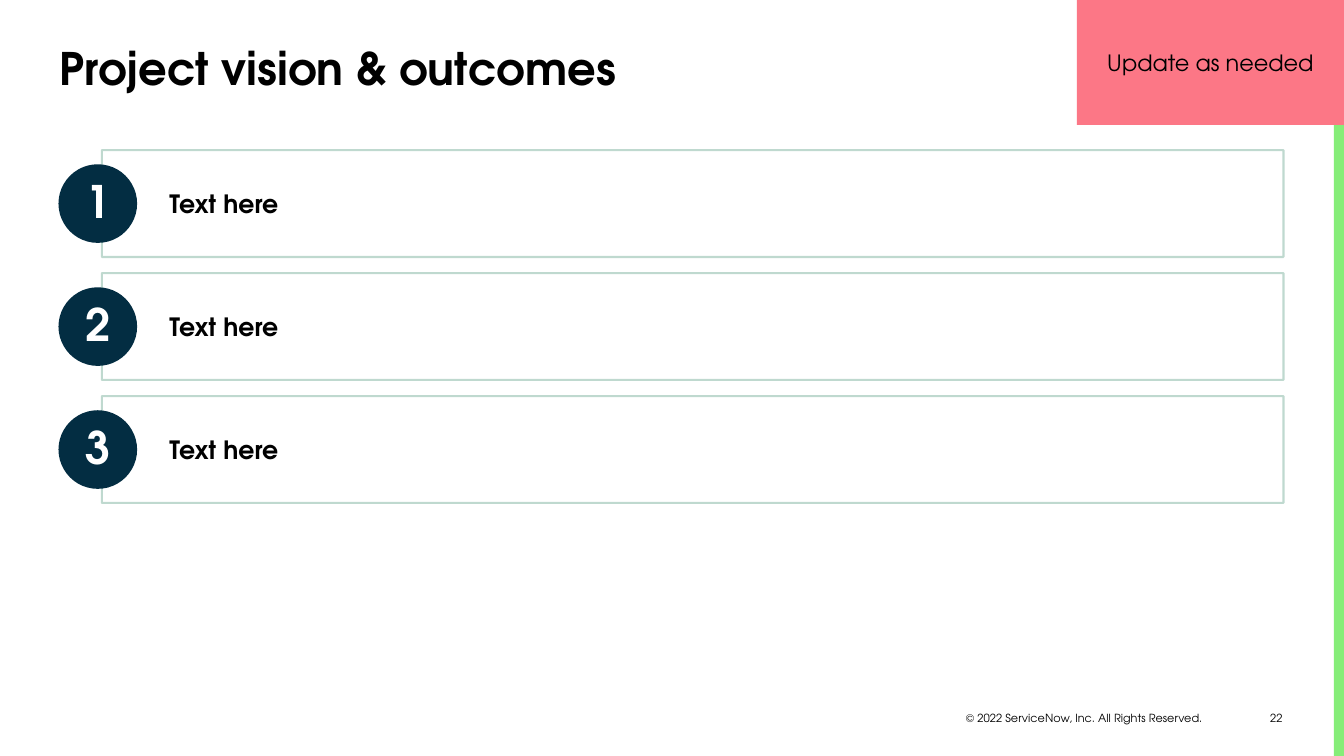
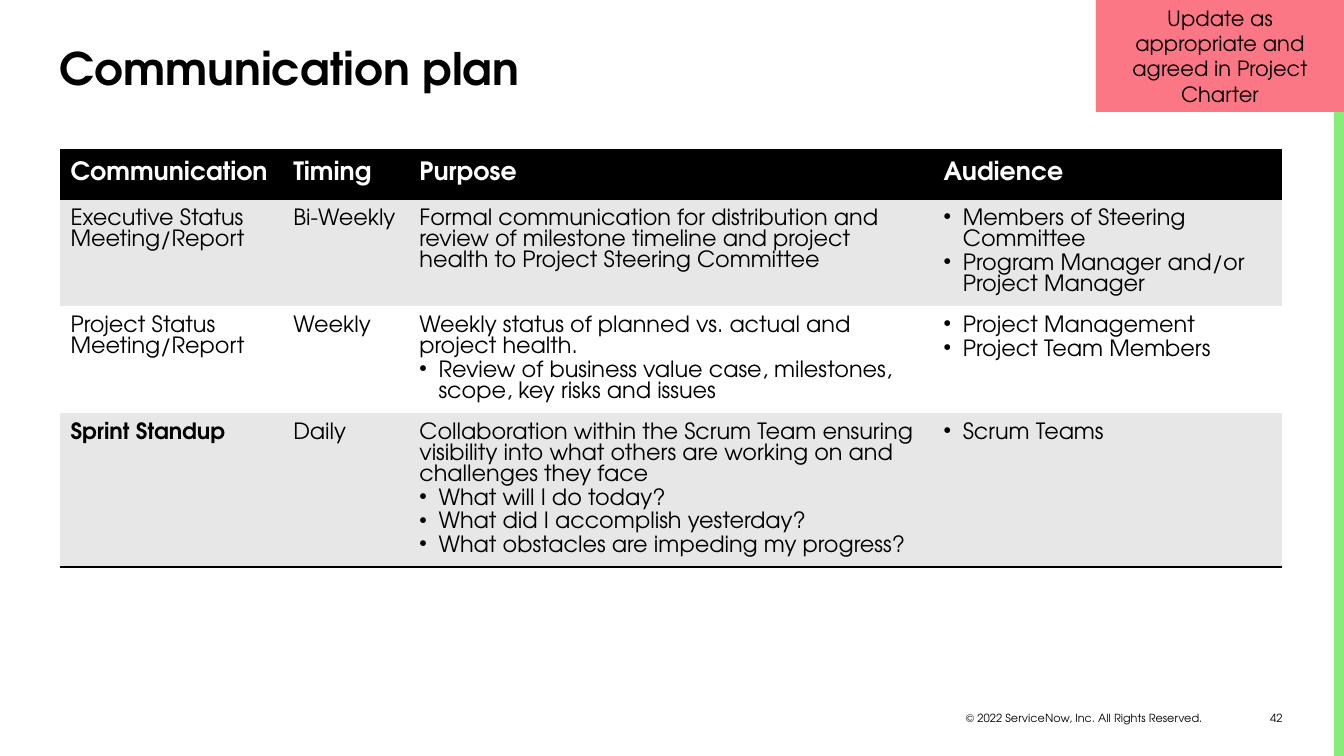
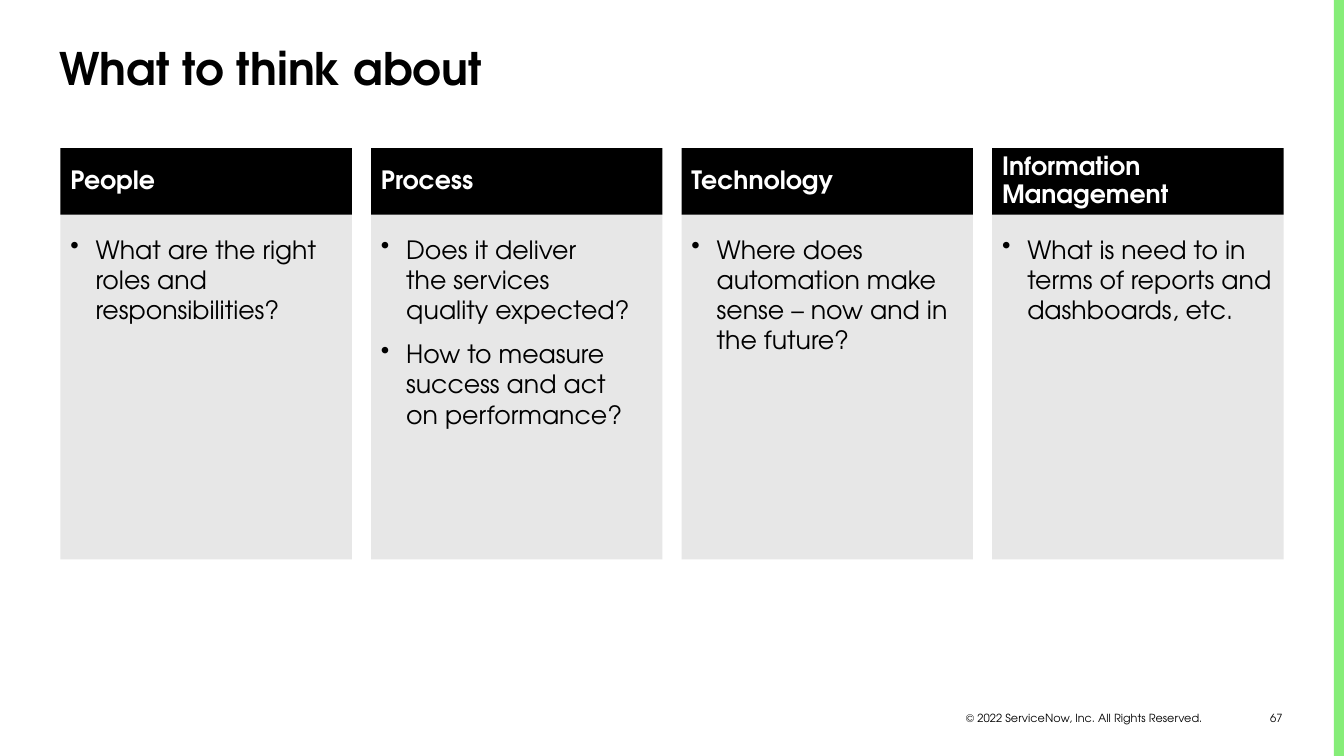
from lxml.etree import SubElement
from pptx import Presentation
from pptx.dml.color import RGBColor
from pptx.enum.shapes import MSO_SHAPE
from pptx.enum.text import MSO_ANCHOR, MSO_AUTO_SIZE, PP_ALIGN
from pptx.oxml import parse_xml
from pptx.oxml.ns import nsdecls, qn
from pptx.util import Inches, Pt

FONT = "TeX Gyre Adventor"
COLORS = {
    "black": "000000", "white": "FFFFFF", "gray": "E7E7E7", "navy": "032D42",
    "sage": "81B5A1", "green": "86ED78", "pink": "FC7786",
}
COPYRIGHT = "© 2022 ServiceNow, Inc. All Rights Reserved. "
BULLET = "• "
PLAIN_TABLE_STYLE = "{2D5ABB26-0587-4C30-8999-92F81FD0307C}"
LEFT, WIDTH = 0.6, 12.13


def color(name):
    return RGBColor.from_string(COLORS[name])


class SlideBuilder:
    def __init__(self):
        self.deck = Presentation()
        self.deck.slide_width = Inches(13.33)
        self.deck.slide_height = Inches(7.5)
        self.page = None

    def start_page(self, title, number):
        """Open a slide with the shared footer, edge band and title."""
        self.page = self.deck.slides.add_slide(self.deck.slide_layouts[5])
        self.label(8.68, 7.01, 3.38, 0.23, COPYRIGHT, MSO_ANCHOR.MIDDLE)
        self.label(12.09, 7.01, 0.73, 0.25, str(number), MSO_ANCHOR.TOP)
        self.shape(13.23, 0, 0.1, 7.5, "green")
        box = self.page.shapes.title
        box.left, box.top = Inches(0.49), Inches(0.35)
        box.width, box.height = Inches(12.24), Inches(0.7)
        box.text_frame.auto_size = MSO_AUTO_SIZE.NONE
        self.set_text(box.text_frame, [title], 32, bold=True)

    def set_text(self, frame, texts, size, ink="black", bold=False, align=PP_ALIGN.LEFT,
                 anchor=MSO_ANCHOR.TOP, indent=0.19, line=None, before=0, after=0):
        """Fill a frame; texts that start with a bullet get a hanging indent."""
        frame.word_wrap = True
        frame.vertical_anchor = anchor
        for index, text in enumerate(texts):
            para = frame.paragraphs[0] if index == 0 else frame.add_paragraph()
            if text.startswith(BULLET):
                text = text.removeprefix(BULLET)
                properties = para._p.get_or_add_pPr()
                properties.set("marL", str(Inches(indent)))
                properties.set("indent", str(-Inches(indent)))
                SubElement(properties, qn("a:buChar")).set("char", "•")
            para.alignment = align
            para.line_spacing = line
            para.space_before = Pt(before if index else 0)
            para.space_after = Pt(after)
            for row, part in enumerate(text.split("\n")):
                if row:
                    para.add_line_break()
                span = para.add_run()
                span.text = part
                span.font.name = FONT
                span.font.size = Pt(size)
                span.font.bold = bold
                span.font.color.rgb = color(ink)

    def label(self, left, top, width, height, text, anchor):
        box = self.page.shapes.add_textbox(
            Inches(left), Inches(top), Inches(width), Inches(height))
        self.set_text(box.text_frame, [text], 8, align=PP_ALIGN.RIGHT, anchor=anchor)

    def shape(self, left, top, width, height, fill=None, kind=MSO_SHAPE.RECTANGLE):
        shape = self.page.shapes.add_shape(
            kind, Inches(left), Inches(top), Inches(width), Inches(height))
        shape.shadow.inherit = False
        shape.line.fill.background()
        if fill:
            shape.fill.solid()
            shape.fill.fore_color.rgb = color(fill)
        else:
            shape.fill.background()
        return shape

    def outcome(self, number, top, text):
        """Outlined bar; its numbered circle is drawn over the left edge."""
        bar = self.shape(1.01, top, 11.72, 1.06)
        bar.line.width = Pt(1.5)
        bar.line.color.rgb = color("sage")
        sage = bar.line._ln.find(".//" + qn("a:srgbClr"))
        SubElement(sage, qn("a:alpha")).set("val", "50000")
        bar.text_frame.margin_left = Inches(0.67)
        self.set_text(bar.text_frame, [text], 18, bold=True, anchor=MSO_ANCHOR.MIDDLE)
        circle = self.shape(0.58, top + 0.14, 0.78, 0.78, "navy", MSO_SHAPE.OVAL)
        self.set_text(circle.text_frame, [str(number)], 32, "white", True,
                      PP_ALIGN.CENTER, MSO_ANCHOR.MIDDLE, line=0.9)

    def callout(self, width, height, text, size):
        """Pink note in the top right corner."""
        note = self.shape(13.33 - width, 0, width, height, "pink")
        self.set_text(note.text_frame, [text], size, align=PP_ALIGN.CENTER,
                      anchor=MSO_ANCHOR.MIDDLE)

    def border(self, cell, side):
        cell._tc.get_or_add_tcPr().insert(0, parse_xml(
            f'<a:{side} {nsdecls("a")} w="{Pt(2)}"><a:solidFill>'
            f'<a:srgbClr val="{COLORS["black"]}"/></a:solidFill></a:{side}>'))

    def table(self, top, widths, heights, rows):
        frame = self.page.shapes.add_table(
            len(rows), len(widths), Inches(LEFT), Inches(top),
            Inches(sum(widths)), Inches(sum(heights)))
        table = frame.table
        table._tbl.tblPr.find(qn("a:tableStyleId")).text = PLAIN_TABLE_STYLE
        for column, width in zip(table.columns, widths):
            column.width = Inches(width)
        for row, height in zip(table.rows, heights):
            row.height = Inches(height)
        last = len(rows) - 1
        for r, row in enumerate(rows):
            for c, text in enumerate(row):
                cell = table.cell(r, c)
                cell.fill.solid()
                cell.margin_left = cell.margin_right = Inches(0.1)
                cell.margin_top = cell.margin_bottom = Inches(0.1 if r else 0.05)
                if r == 0:
                    cell.fill.fore_color.rgb = color("black")
                    self.set_text(cell.text_frame, [text], 18, "white", True,
                                  line=0.9, after=2)
                    cell.vertical_anchor = MSO_ANCHOR.MIDDLE
                else:
                    cell.fill.fore_color.rgb = color("gray" if r % 2 else "white")
                    self.set_text(cell.text_frame, text.split("\n"), 16,
                                  bold=(r, c) == (last, 0), line=Pt(15), after=2)
                if r in (0, last):
                    self.border(cell, "lnB")
                if r == 0:
                    self.border(cell, "lnT")

    def topic(self, left, width, heading, points):
        """Gray panel of bullets under a black heading."""
        panel = self.shape(left, 2.12, width, 3.43, "gray")
        panel.text_frame.margin_top = Inches(0.2)
        self.set_text(panel.text_frame, points, 18, indent=0.25, before=4, after=6)
        header = self.shape(left, 1.47, width, 0.66, "black")
        self.set_text(header.text_frame, [heading], 18, "white", True,
                      anchor=MSO_ANCHOR.MIDDLE, line=0.9)


PLAN = [
    ["Communication", "Timing", "Purpose", "Audience"],
    ["Executive Status Meeting/Report", "Bi-Weekly",
     "Formal communication for distribution and review of milestone timeline "
     "and project health to Project Steering Committee",
     "• Members of Steering Committee\n• Program Manager and/or Project Manager"],
    ["Project Status Meeting/Report", "Weekly",
     "Weekly status of planned vs. actual and project health.\n"
     "• Review of business value case, milestones, scope, key risks and issues",
     "• Project Management\n• Project Team Members"],
    ["Sprint Standup", "Daily",
     "Collaboration within the Scrum Team ensuring visibility into what others "
     "are working on and challenges they face\n• What will I do today?\n"
     "• What did I accomplish yesterday?\n• What obstacles are impeding my progress?",
     "• Scrum Teams"],
]

TOPICS = {
    "People": ["• What are the right roles and responsibilities?"],
    "Process": ["• Does it deliver \nthe services \nquality expected?",
                "• How to measure success and act \non performance?"],
    "Technology": ["• Where does automation make sense – now and in \nthe future?"],
    "Information Management": [
        "• What is need to in terms of reports and dashboards, etc."],
}


def main():
    builder = SlideBuilder()

    # Vision and outcomes
    builder.start_page("Project vision & outcomes", 22)
    for index in range(3):
        builder.outcome(index + 1, 1.49 + index * 1.22, "Text here")
    builder.callout(2.65, 1.24, "Update as needed", 16)

    # Communication plan
    builder.start_page("Communication plan", 42)
    builder.table(1.49, [2.21, 1.25, 5.2, 3.46], [0.48, 1.06, 1.06, 1.53], PLAN)
    builder.callout(2.46, 1.11, "Update as appropriate and agreed in Project Charter", 15)

    # Topics to think about
    builder.start_page("What to think about", 67)
    gap = 0.19
    width = (WIDTH - gap * (len(TOPICS) - 1)) / len(TOPICS)
    for index, (heading, points) in enumerate(TOPICS.items()):
        builder.topic(LEFT + index * (width + gap), width, heading, points)

    builder.deck.save("out.pptx")


if __name__ == "__main__":
    main()
